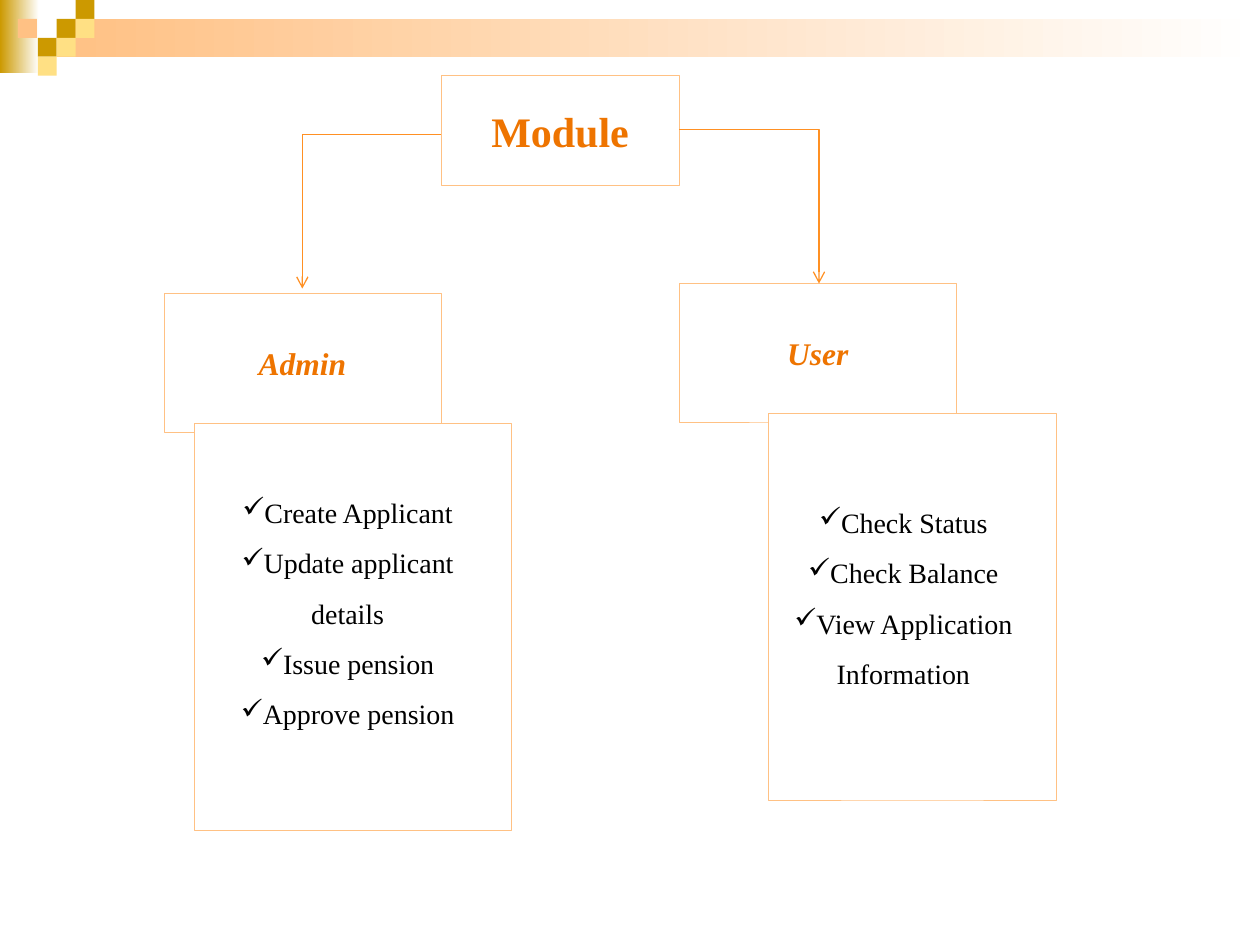
from dataclasses import dataclass

from lxml import etree
from pptx import Presentation
from pptx.dml.color import RGBColor
from pptx.enum.shapes import MSO_CONNECTOR, MSO_SHAPE
from pptx.enum.text import MSO_ANCHOR, MSO_AUTO_SIZE, PP_ALIGN
from pptx.oxml.ns import qn
from pptx.util import Inches, Pt

RECTANGLE = MSO_SHAPE.RECTANGLE
ELBOW = MSO_CONNECTOR.ELBOW
MIDDLE = MSO_ANCHOR.MIDDLE
CENTER = PP_ALIGN.CENTER
FIT_SHAPE = MSO_AUTO_SIZE.SHAPE_TO_FIT_TEXT

WHITE = RGBColor(0xFF, 0xFF, 0xFF)
BLACK = RGBColor(0, 0, 0)
GOLD = RGBColor(0xCC, 0x99, 0x00)
CREAM = RGBColor(0xFF, 0xE0, 0x84)
PEACH = RGBColor(0xFF, 0xC1, 0x84)
ORANGE = RGBColor(0xFF, 0x90, 0x23)
DARK_ORANGE = RGBColor(0xEE, 0x74, 0x00)
FONT = "Times New Roman"
TILE = 0.15  # grid unit of the corner mosaic, in inches


@dataclass(frozen=True)
class Area:
    left: float
    top: float
    width: float
    height: float

    def lengths(self) -> tuple:
        return tuple(Inches(n) for n in (self.left, self.top, self.width, self.height))


@dataclass(frozen=True)
class Tile:
    column: float
    row: int
    color: RGBColor


@dataclass(frozen=True)
class Box:
    area: Area
    label: str = ""
    size: int = 18
    italic: bool = True


@dataclass(frozen=True)
class CheckList:
    area: Area
    items: tuple[str, ...]


@dataclass(frozen=True)
class Arrow:
    start: tuple[float, float]
    end: tuple[float, float]


FADES = (
    (Area(0, 0, 0.31, 0.58), GOLD),
    (Area(3 * TILE, TILE, 10 - 3 * TILE, 2 * TILE), PEACH),
)
TILES = (
    Tile(3, 1, GOLD), Tile(4, 0, GOLD), Tile(4, 1, CREAM), Tile(2, 2, GOLD),
    Tile(0.95, 1, PEACH), Tile(3, 2, CREAM), Tile(2, 3, CREAM),
)
BOXES = (
    Box(Area(3.5, 0.6, 1.89, 0.87), "Module", 24, False),
    Box(Area(1.3, 2.33, 2.2, 1.1), "Admin"),
    Box(Area(5.39, 2.25, 2.2, 1.1), "User"),
    Box(Area(6.1, 3.28, 2.28, 3.07)),
    Box(Area(1.54, 3.36, 2.52, 3.23)),
)
LISTS = (
    CheckList(Area(0.28, 3.75, 3.46, 2.42),
              ("Create Applicant", "Update applicant details",
               "Issue pension", "Approve pension")),
    CheckList(Area(4.69, 3.83, 3.46, 2.02),
              ("Check Status", "Check Balance", "View Application Information")),
)
ARROWS = (
    Arrow((3.5, 1.07), (2.4, 2.29)),
    Arrow((5.39, 1.03), (6.5, 2.25)),
)


def add_rectangle(slide, area: Area):
    shape = slide.shapes.add_shape(RECTANGLE, *area.lengths())
    shape.shadow.inherit = False
    shape.line.fill.background()
    return shape


def add_fade(slide, area: Area, color: RGBColor) -> None:
    fill = add_rectangle(slide, area).fill
    fill.gradient()
    fill.gradient_angle = 0
    for stop, stop_color in zip(fill.gradient_stops, (color, WHITE)):
        stop.color.rgb = stop_color


def add_tile(slide, tile: Tile) -> None:
    shape = add_rectangle(slide, Area(tile.column * TILE, tile.row * TILE, TILE, TILE))
    shape.fill.solid()
    shape.fill.fore_color.rgb = tile.color


def format_text(paragraph, size: int, color: RGBColor) -> None:
    paragraph.alignment = CENTER
    for run in paragraph.runs:
        run.font.name = FONT
        run.font.size = Pt(size)
        run.font.color.rgb = color


def add_box(slide, box: Box) -> None:
    shape = add_rectangle(slide, box.area)
    shape.fill.solid()
    shape.fill.fore_color.rgb = WHITE
    shape.line.color.rgb = PEACH
    shape.line.width = Pt(0.25)
    if box.label:
        frame = shape.text_frame
        frame.text = box.label
        frame.vertical_anchor = MIDDLE
        paragraph = frame.paragraphs[0]
        format_text(paragraph, box.size, DARK_ORANGE)
        paragraph.runs[0].font.bold = True
        paragraph.runs[0].font.italic = box.italic


def add_check_list(slide, check_list: CheckList) -> None:
    frame = slide.shapes.add_textbox(*check_list.area.lengths()).text_frame
    frame.word_wrap = True
    frame.auto_size = FIT_SHAPE
    frame.text = "\n".join(check_list.items)
    for paragraph in frame.paragraphs:
        paragraph.level = 3
        paragraph.line_spacing = 1.5
        format_text(paragraph, 16, BLACK)
        # Check mark bullet
        properties = paragraph._p.get_or_add_pPr()
        properties.set("marL", str(Inches(1.5)))
        properties.set("indent", "0")
        etree.SubElement(properties, qn("a:buChar")).set("char", "✓")


def add_arrow(slide, arrow: Arrow) -> None:
    points = [Inches(n) for n in arrow.start + arrow.end]
    connector = slide.shapes.add_connector(ELBOW, *points)
    connector.line.color.rgb = ORANGE
    connector.line.width = Pt(0.75)
    # Single bend, open arrowhead, no shadow
    properties = connector._element.spPr
    properties.find(qn("a:prstGeom")).set("prst", "bentConnector2")
    line = properties.find(qn("a:ln"))
    etree.SubElement(line, qn("a:tailEnd")).set("type", "arrow")
    etree.SubElement(properties, qn("a:effectLst"))


presentation = Presentation()
presentation.slide_width = Inches(10)
presentation.slide_height = Inches(7.5)
slide = presentation.slides.add_slide(presentation.slide_layouts[6])

# Corner mosaic and top band
for fade_area, fade_color in FADES:
    add_fade(slide, fade_area, fade_color)
for tile in TILES:
    add_tile(slide, tile)

# Module diagram
for box in BOXES:
    add_box(slide, box)
for check_list in LISTS:
    add_check_list(slide, check_list)
for arrow in ARROWS:
    add_arrow(slide, arrow)

presentation.save("out.pptx")
